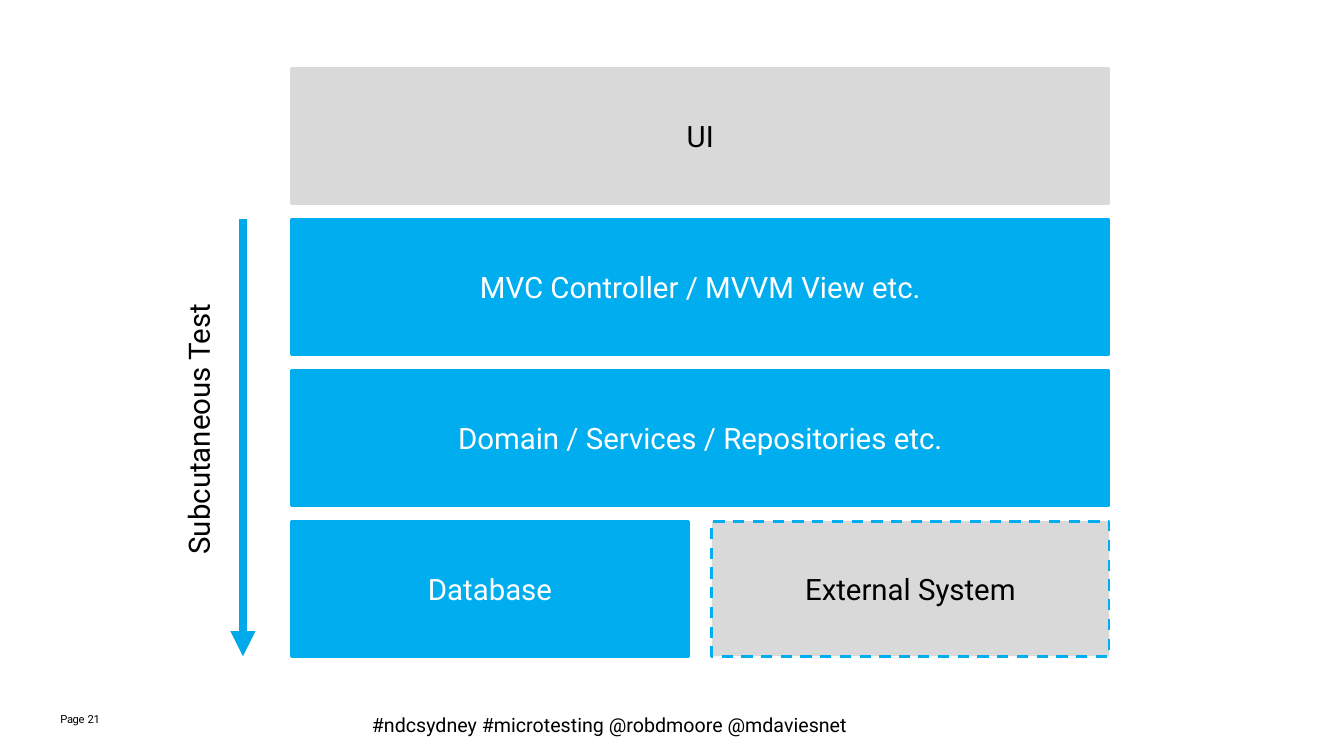
from lxml.etree import SubElement
from pptx import Presentation
from pptx.dml.color import RGBColor
from pptx.enum.dml import MSO_LINE
from pptx.enum.shapes import MSO_CONNECTOR, MSO_SHAPE
from pptx.enum.text import MSO_ANCHOR, MSO_AUTO_SIZE, PP_ALIGN
from pptx.oxml.ns import qn
from pptx.util import Inches, Pt

BLACK = RGBColor(0x00, 0x00, 0x00)
WHITE = RGBColor(0xFF, 0xFF, 0xFF)
GREY = RGBColor(0xD9, 0xD9, 0xD9)
BLUE = RGBColor(0x00, 0xAE, 0xEF)
ARROW_BLUE = RGBColor(0x00, 0xAA, 0xEA)
FONT = "Roboto"
LABEL_SIZE = 21

# Each layer: its parts as (label, is covered by the test, has a dashed outline)
LAYERS = [
    [("UI", False, False)],
    [("MVC Controller / MVVM View etc.", True, False)],
    [("Domain / Services / Repositories etc.", True, False)],
    [("Database", True, False), ("External System", False, True)],
]
TEST_NAME = "Subcutaneous Test"
HASHTAGS = "#ndcsydney #microtesting @robdmoore @mdaviesnet"
PAGE_PARTS = [("Page", 0.6, 0.3), ("21", 0.87, 0.24)]  # text, left, width

STACK_LEFT, STACK_TOP, STACK_WIDTH = 2.89, 0.68, 8.11
LAYER_HEIGHT, LAYER_PITCH, PART_GAP = 1.34, 1.497, 0.23
ARROW_X = 2.41


def style_text(frame, size, color):
    font = frame.paragraphs[0].runs[0].font
    font.name, font.size, font.color.rgb = FONT, Pt(size), color


def add_part(slide, label, tested, dashed, left, top, width):
    part = slide.shapes.add_shape(MSO_SHAPE.RECTANGLE, Inches(left), Inches(top),
                                  Inches(width), Inches(LAYER_HEIGHT))
    part.shadow.inherit = False
    fill = BLUE if tested else GREY
    part.fill.solid()
    part.fill.fore_color.rgb = fill
    part.line.color.rgb = BLUE if dashed else fill
    part.line.width = Pt(2)
    if dashed:
        part.line.dash_style = MSO_LINE.DASH
    frame = part.text_frame
    frame.text = label
    frame.vertical_anchor = MSO_ANCHOR.MIDDLE
    frame.paragraphs[0].alignment = PP_ALIGN.CENTER
    style_text(frame, LABEL_SIZE, WHITE if tested else BLACK)


def add_label(slide, text, left, top, width, height, size):
    frame = slide.shapes.add_textbox(Inches(left), Inches(top),
                                     Inches(width), Inches(height)).text_frame
    frame.text = text
    frame.word_wrap = False
    style_text(frame, size, BLACK)
    return frame


def add_test_arrow(slide, top, bottom):
    arrow = slide.shapes.add_connector(MSO_CONNECTOR.STRAIGHT, Inches(ARROW_X), Inches(top),
                                       Inches(ARROW_X), Inches(bottom))
    arrow.line.color.rgb = ARROW_BLUE
    arrow.line.width = Pt(6)
    SubElement(arrow.line._get_or_add_ln(), qn("a:tailEnd"), type="triangle")
    SubElement(arrow._element.spPr, qn("a:effectLst"))


def main():
    deck = Presentation()
    deck.slide_width, deck.slide_height = Inches(13.33), Inches(7.5)
    slide = deck.slides.add_slide(deck.slide_layouts[6])

    for row, parts in enumerate(LAYERS):
        top = STACK_TOP + row * LAYER_PITCH
        width = (STACK_WIDTH - PART_GAP * (len(parts) - 1)) / len(parts)
        for column, (label, tested, dashed) in enumerate(parts):
            left = STACK_LEFT + column * (width + PART_GAP)
            add_part(slide, label, tested, dashed, left, top, width)

    stack_bottom = STACK_TOP + (len(LAYERS) - 1) * LAYER_PITCH + LAYER_HEIGHT
    add_test_arrow(slide, STACK_TOP + LAYER_PITCH, stack_bottom)
    test_label = add_label(slide, TEST_NAME, 1.74, 3.08, 0.56, 2.52, LABEL_SIZE)
    test_label.auto_size = MSO_AUTO_SIZE.SHAPE_TO_FIT_TEXT
    test_label._txBody.bodyPr.set("vert", "vert270")

    hashtags = add_label(slide, HASHTAGS, 3.59, 7.02, 4.95, 0.34, 14)
    hashtags.auto_size = MSO_AUTO_SIZE.SHAPE_TO_FIT_TEXT

    for text, left, width in PAGE_PARTS:
        frame = add_label(slide, text, left, 7.07, width, 0.34, 8)
        frame.word_wrap = True
        frame.margin_left = frame.margin_right = frame.margin_top = frame.margin_bottom = 0
        frame.paragraphs[0].runs[0].font._element.set("spc", "-30")

    deck.save("out.pptx")


if __name__ == "__main__":
    main()
